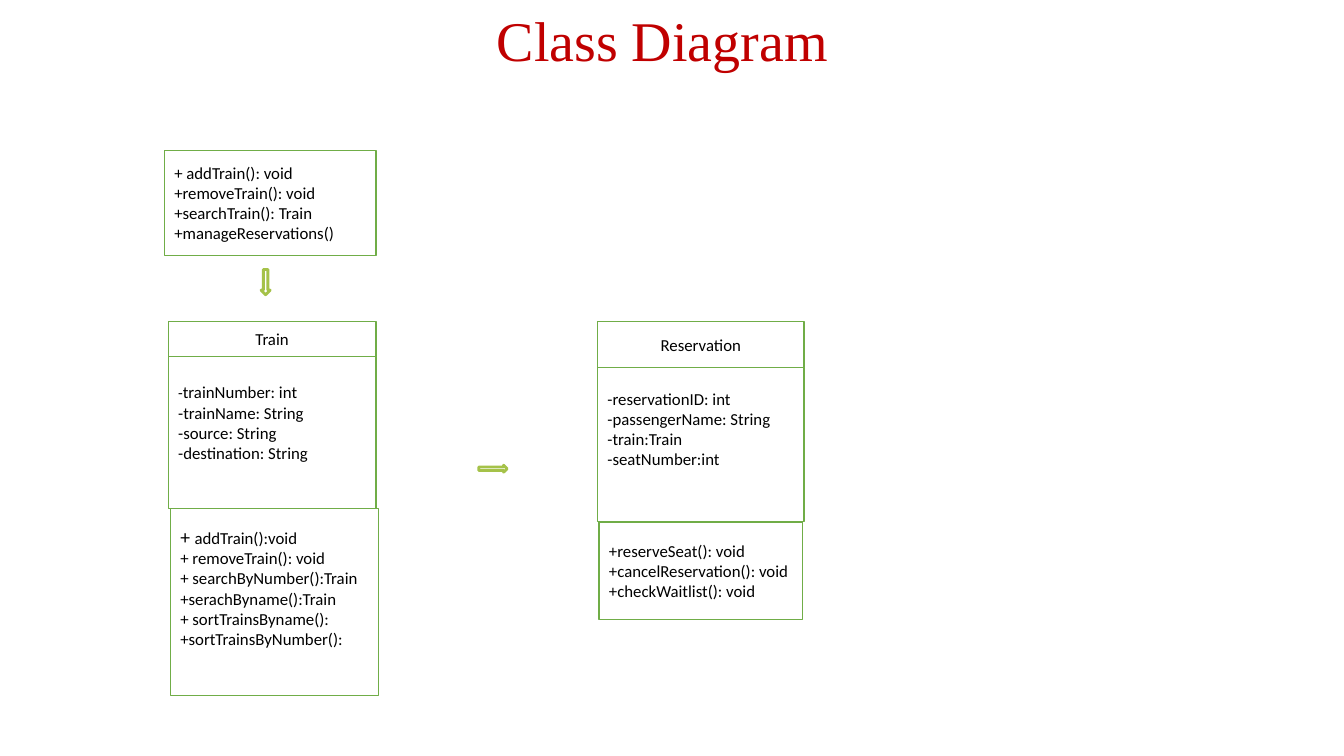
from pptx import Presentation
from pptx.dml.color import RGBColor
from pptx.enum.shapes import MSO_SHAPE as Kind
from pptx.enum.text import MSO_ANCHOR as Anchor, PP_ALIGN as Align
from pptx.util import Pt

GREEN, LIME, RED = "70AD47", "A5C249", "C00000"


def color(code):
    return RGBColor.from_string(code)


def draw(kind, place, edge, width):
    """Add a white shape with a coloured outline."""
    shape = slide.shapes.add_shape(kind, *map(Pt, place))
    shape.shadow.inherit = False
    shape.fill.solid()
    shape.fill.fore_color.rgb = color("FFFFFF")
    shape.line.color.rgb = color(edge)
    shape.line.width = Pt(width)
    return shape


deck = Presentation()
deck.slide_width, deck.slide_height = Pt(960), Pt(540)
slide = deck.slides.add_slide(deck.slide_layouts[6])

# place, alignment, space kept free below the text, lines
boxes = [
    ((117.4, 107.5, 151.2, 74.9), Align.LEFT, 0,
     ["+ addTrain(): void", "+removeTrain(): void",
      "+searchTrain(): Train", "+manageReservations()"]),
    ((120.2, 229.5, 148.3, 25.2), Align.CENTER, 0, ["Train"]),
    ((120.2, 254.7, 148.3, 108.7), Align.LEFT, 14.6,
     [("-", 11, "trainNumber: int"), "-trainName: String",
      "-source: String", "-destination: String"]),
    ((121.7, 363.2, 148.8, 133.7), Align.LEFT, 22,
     [("+ ", 14, "addTrain():void"), "+ removeTrain(): void",
      "+ searchByNumber():Train", "+serachByname():Train",
      "+ sortTrainsByname():", "+sortTrainsByNumber():"]),
    ((426.8, 229.5, 147.6, 33), Align.CENTER, 0, ["Reservation"]),
    ((426.8, 262.4, 147.6, 110.2), Align.LEFT, 22,
     ["-reservationID: int", "-passengerName: String",
      "-train:Train", "-seatNumber:int"]),
    ((427.9, 372.9, 145.4, 69.8), Align.LEFT, 0,
     ["+reserveSeat(): void", "+cancelReservation(): void",
      "+checkWaitlist(): void"]),
]
for place, align, gap, lines in boxes:
    frame = draw(Kind.RECTANGLE, place, GREEN, 1).text_frame
    look = {"word_wrap": True, "vertical_anchor": Anchor.MIDDLE,
            "margin_bottom": Pt(3.6 + gap)}
    for name, value in look.items():
        setattr(frame, name, value)
    for i, line in enumerate(lines):
        para = frame.paragraphs[0] if i == 0 else frame.add_paragraph()
        para.alignment = align
        if isinstance(line, tuple):
            sign, size, rest = line
            parts = [(sign, size), (rest, 12)]
        else:
            parts = [(line, 12)]
        for text, size in parts:
            run = para.add_run()
            run.text = text
            for name, value in {"name": "Calibri", "size": Pt(size)}.items():
                setattr(run.font, name, value)
            run.font.color.rgb = color("000000")

draw(Kind.DOWN_ARROW, (186.5, 192.5, 6.5, 18), LIME, 2)
draw(Kind.RIGHT_ARROW, (342, 332.3, 20.2, 5), LIME, 2)

title = slide.shapes.add_textbox(Pt(347.8), Pt(0), Pt(253.4), Pt(55.4))
frame = title.text_frame
frame.word_wrap = False
frame.vertical_anchor = Anchor.MIDDLE
run = frame.paragraphs[0].add_run()
run.text = "Class Diagram"
for name, value in {"name": "Times New Roman", "size": Pt(40)}.items():
    setattr(run.font, name, value)
run.font.color.rgb = color(RED)

deck.save("out.pptx")
